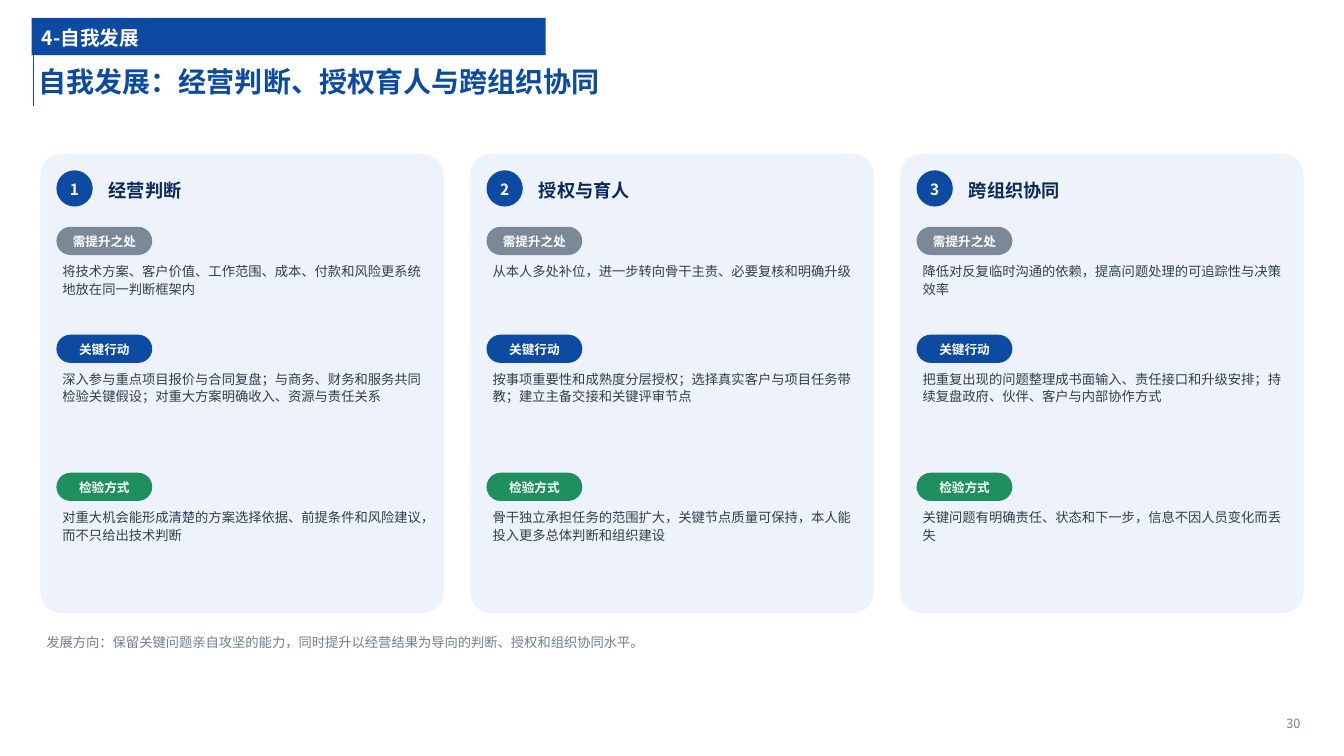
"""Build the self-development slide: three cards with gaps, actions and checks."""
from dataclasses import dataclass
from typing import NamedTuple, Optional

from lxml import etree
from pptx import Presentation, slide as sl, util as u
from pptx.dml import color
from pptx.enum import shapes, text
from pptx.oxml import ns
from pptx.shapes import autoshape as auto

WIDE, HIGH = u.Inches(13.33), u.Inches(7.5)
KIND = shapes.MSO_SHAPE
ALIGN = text.PP_ALIGN
ANCHOR = text.MSO_ANCHOR


@dataclass(frozen=True)
class Theme:
    """Colours, type sizes and spacing of the deck."""
    font: str = "Noto Sans CJK SC"
    blue: str = "0C4BA1"
    navy: str = "0A2A5E"
    grey: str = "7A8898"
    green: str = "1F8F5F"
    panel: str = "EEF3FB"
    ink: str = "2F3E4F"
    mute: str = "6F7E8F"
    white: str = "FFFFFF"
    title: float = 20
    banner: float = 14
    head: float = 13
    badge: float = 11
    body: float = 9.5
    small: float = 9
    lead: float = 1.12


THEME = Theme()


class Box(NamedTuple):
    """A place in percent of the slide's width and height."""
    x: float
    y: float
    w: float
    h: float


class Style(NamedTuple):
    """Type size, colour, weight, place and inner margins of a text."""
    size: float
    tint: str
    bold: bool = False
    align: ALIGN = ALIGN.LEFT
    anchor: ANCHOR = ANCHOR.MIDDLE
    inset: tuple[float, float, float, float] = (0.06, 0.04, 0.06, 0.04)


class Row(NamedTuple):
    """A labelled band that every card has."""
    label: str
    tint: str
    y: float
    h: float


class Card(NamedTuple):
    """A card's heading and one text for each row."""
    head: str
    texts: tuple[str, str, str]


TITLE = Style(THEME.title, THEME.blue, True, inset=(0.05, 0, 0.05, 0))
BANNER = Style(THEME.banner, THEME.white, True, inset=(0.1, 0, 0.05, 0))
FOLIO = Style(THEME.small, THEME.mute, align=ALIGN.RIGHT, inset=(0, 0, 0.05, 0))
BADGE = Style(THEME.badge, THEME.white, True, ALIGN.CENTER, inset=(0, 0, 0, 0))
HEAD = Style(THEME.head, THEME.navy, True)
PILL = Style(THEME.small, THEME.white, True, ALIGN.CENTER, inset=(0.04, 0, 0.04, 0))
BODY = Style(THEME.body, THEME.ink, anchor=ANCHOR.TOP)
NOTE = Style(THEME.body, THEME.mute)

ROWS = (
    Row("需提升之处", THEME.grey, 30, 8.4),
    Row("关键行动", THEME.blue, 44.27, 12.4),
    Row("检验方式", THEME.green, 62.53, 9.07),
)
CARDS = (
    Card("经营判断", (
        "将技术方案、客户价值、工作范围、成本、付款和风险更系统地放在同一判断框架内",
        "深入参与重点项目报价与合同复盘；与商务、财务和服务共同检验关键假设；对重大方案明确收入、资源与责任关系",
        "对重大机会能形成清楚的方案选择依据、前提条件和风险建议，而不只给出技术判断",
    )),
    Card("授权与育人", (
        "从本人多处补位，进一步转向骨干主责、必要复核和明确升级",
        "按事项重要性和成熟度分层授权；选择真实客户与项目任务带教；建立主备交接和关键评审节点",
        "骨干独立承担任务的范围扩大，关键节点质量可保持，本人能投入更多总体判断和组织建设",
    )),
    Card("跨组织协同", (
        "降低对反复临时沟通的依赖，提高问题处理的可追踪性与决策效率",
        "把重复出现的问题整理成书面输入、责任接口和升级安排；持续复盘政府、伙伴、客户与内部协作方式",
        "关键问题有明确责任、状态和下一步，信息不因人员变化而丢失",
    )),
)
EDGE, SPAN, STEP, PAD = 3, 30, 32, 1.2


def across(share: float) -> int:
    """Turn a percentage of the width into a length."""
    return round(WIDE * share / 100)


def down(share: float) -> int:
    """Turn a percentage of the height into a length."""
    return round(HIGH * share / 100)


def place(box: Box) -> tuple[int, int, int, int]:
    """Turn a box of shares into lengths."""
    return across(box.x), down(box.y), across(box.w), down(box.h)


def fill_text(shape: auto.Shape, words: str, style: Style) -> None:
    """Write one styled paragraph into a shape."""
    frame = shape.text_frame
    frame.word_wrap = True
    frame.vertical_anchor = style.anchor
    (frame.margin_left, frame.margin_top,
     frame.margin_right, frame.margin_bottom) = map(u.Inches, style.inset)
    para = frame.paragraphs[0]
    para.text = words
    para.alignment = style.align
    para.line_spacing = THEME.lead
    font = para.font
    font.size = u.Pt(style.size)
    font.bold = style.bold
    font.color.rgb = color.RGBColor.from_string(style.tint)
    font.name = THEME.font
    props = para._p.pPr.find(ns.qn("a:defRPr"))
    etree.SubElement(props, ns.qn("a:ea"), typeface=THEME.font)


def add_text(page: sl.Slide, box: Box, words: str, style: Style) -> None:
    """Add a text box."""
    fill_text(page.shapes.add_textbox(*place(box)), words, style)


def add_block(page: sl.Slide, kind: KIND, box: Box, tint: str, words: str = "",
              style: Optional[Style] = None, curve: Optional[float] = None) -> None:
    """Add a flat shape, with text if a style is given."""
    shape = page.shapes.add_shape(kind, *place(box))
    shape.shadow.inherit = False
    shape.fill.solid()
    shape.fill.fore_color.rgb = color.RGBColor.from_string(tint)
    shape.line.fill.background()
    if curve is not None:
        shape.adjustments[0] = curve
    if style:
        fill_text(shape, words, style)


def add_rule(page: sl.Slide, x: float, top: float, end: float) -> None:
    """Add the upright line beside the title."""
    rule = page.shapes.add_connector(
        shapes.MSO_CONNECTOR.STRAIGHT, across(x), down(top), across(x), down(end))
    rule.line.color.rgb = color.RGBColor.from_string(THEME.blue)
    rule.line.width = u.Pt(1)
    etree.SubElement(rule._element.spPr, ns.qn("a:effectLst"))


def add_card(page: sl.Slide, rank: int, card: Card) -> None:
    """Add one card with its badge, heading and rows."""
    left = EDGE + rank * STEP
    inner = left + PAD
    add_block(page, KIND.ROUNDED_RECTANGLE, Box(left, 20.4, SPAN, 60.67),
              THEME.panel, curve=0.05)
    add_block(page, KIND.OVAL, Box(inner, 22.53, 2.7, 4.8), THEME.blue,
              str(rank + 1), BADGE)
    add_text(page, Box(left + 4.65, 22.27, 24.45, 5.33), card.head, HEAD)
    for row, words in zip(ROWS, card.texts):
        add_block(page, KIND.ROUNDED_RECTANGLE, Box(inner, row.y, 7.13, 3.73),
                  row.tint, row.label, PILL, 0.5)
        add_text(page, Box(inner, row.y + 4, SPAN - 2 * PAD, row.h), words, BODY)


def main() -> None:
    """Build and save the deck."""
    deck = Presentation()
    deck.slide_width, deck.slide_height = WIDE, HIGH
    page = deck.slides.add_slide(deck.slide_layouts[6])
    add_rule(page, 2.5, 3.2, 14)
    add_text(page, Box(2.5, 7.07, 86.25, 6.93),
             "自我发展：经营判断、授权育人与跨组织协同", TITLE)
    add_block(page, KIND.RECTANGLE, Box(2.35, 2.35, 38.25, 4.93), THEME.blue,
              "4-自我发展", BANNER)
    add_text(page, Box(90, 93.6, 7.13, 4), "30", FOLIO)
    for rank, card in enumerate(CARDS):
        add_card(page, rank, card)
    add_text(page, Box(EDGE, 82.4, 94, 4.8),
             "发展方向：保留关键问题亲自攻坚的能力，同时提升以经营结果为导向的判断、授权和组织协同水平。", NOTE)
    deck.save("out.pptx")


if __name__ == "__main__":
    main()
